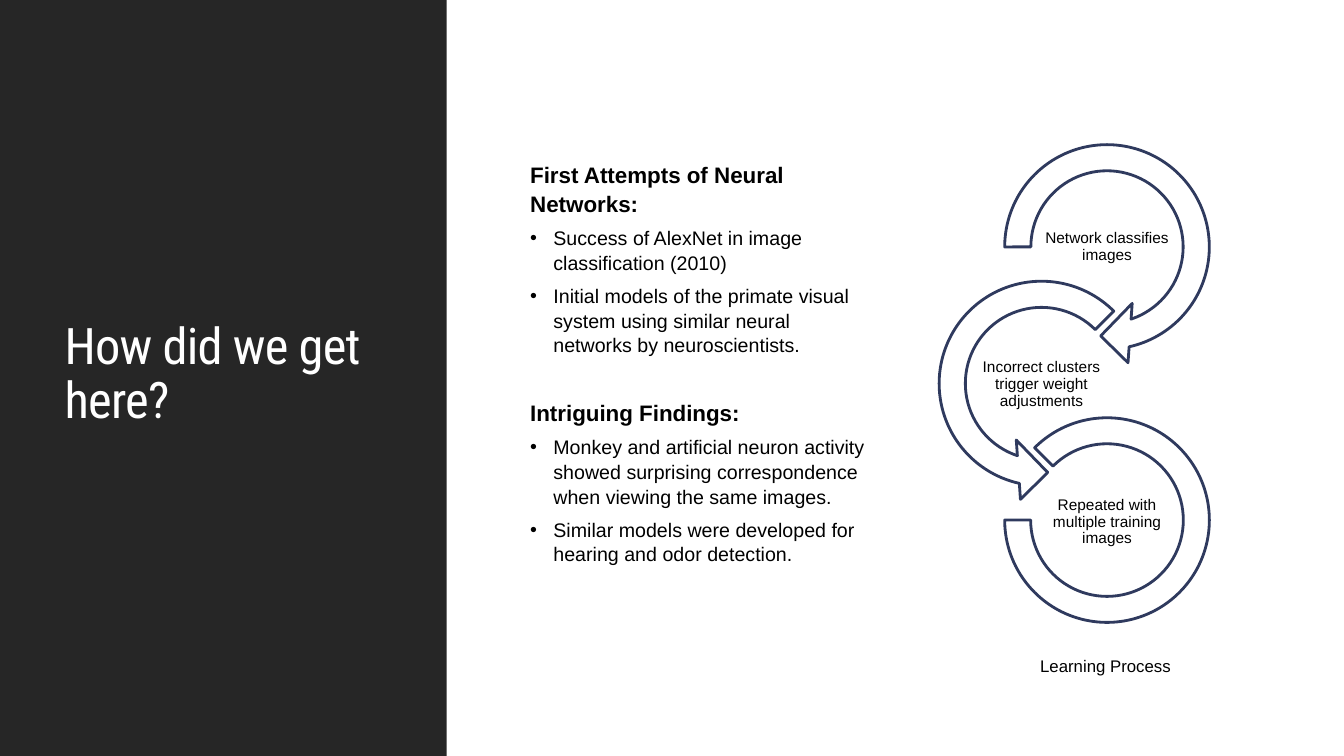
"""Build the slide on early neural networks and their learning process."""
from dataclasses import dataclass

from lxml.etree import SubElement
from pptx import Presentation
from pptx.dml.color import RGBColor
from pptx.enum.shapes import MSO_SHAPE
from pptx.enum.text import MSO_ANCHOR, MSO_AUTO_SIZE, PP_ALIGN
from pptx.oxml.ns import qn
from pptx.util import Inches, Pt

TITLE = "How did we get here?"
SECTIONS = [
    ("First Attempts of Neural Networks:", [
        "Success of AlexNet in image classification (2010)",
        "Initial models of the primate visual system using similar neural networks by neuroscientists.",
    ]),
    ("Intriguing Findings:", [
        "Monkey and artificial neuron activity showed surprising correspondence when viewing the same images.",
        "Similar models were developed for hearing and odor detection.",
    ]),
]
STEPS = [
    ("Network classifies images", MSO_SHAPE.CIRCULAR_ARROW, 10.98, 2.36,
     (0.11, 11.42, 45, 108, 0.125)),
    ("Incorrect clusters trigger weight adjustments", MSO_SHAPE.LEFT_CIRCULAR_ARROW, 10.33, 2.36,
     (0.11, 11.42, 63, 189, 0.125)),
    ("Repeated with multiple training images", MSO_SHAPE.BLOCK_ARC, 10.98, 2.03,
     (135, 108, 0.127)),
]
CAPTION = "Learning Process"
FIRST_CENTRE, RING_PITCH, LABEL_PITCH = 2.45, 1.355, 1.365
LABEL_WIDTH, LABEL_HEIGHT = 1.31, 0.66


@dataclass(frozen=True)
class Theme:
    """Colours, fonts and type sizes of the slide."""
    panel: RGBColor = RGBColor(0x26, 0x26, 0x26)
    paper: RGBColor = RGBColor(0xFF, 0xFF, 0xFF)
    ink: RGBColor = RGBColor(0, 0, 0)
    outline: RGBColor = RGBColor(0x2F, 0x3A, 0x5E)
    title_font: str = "Roboto Condensed"
    body_font: str = "Arial"
    title_size: int = 36
    heading_size: int = 16
    bullet_size: int = 14
    caption_size: int = 12
    label_size: int = 11


THEME = Theme()


def write_text(paragraph, text, size, font=THEME.body_font, color=THEME.ink, bold=False,
               align=PP_ALIGN.LEFT, line_spacing=1.0, before=0, after=0, tracking=None):
    """Write one formatted run into a paragraph."""
    run = paragraph.add_run()
    run.text = text
    run.font.size, run.font.name, run.font.bold = Pt(size), font, bold
    run.font.color.rgb = color
    if tracking is not None:
        run.font._element.set("spc", str(tracking))
    paragraph.alignment, paragraph.line_spacing = align, line_spacing
    paragraph.space_before, paragraph.space_after = Pt(before), Pt(after)


def indent(paragraph, left, hanging=0, bullet=None):
    """Set the indents of a paragraph and its optional bullet."""
    properties = paragraph._p.get_or_add_pPr()
    properties.set("marL", str(Inches(left)))
    properties.set("indent", str(-Inches(hanging)))
    if bullet:
        SubElement(properties, qn("a:buFont")).set("typeface", THEME.body_font)
        SubElement(properties, qn("a:buChar")).set("char", bullet)


def add_shape(slide, kind, left, top, width, height, fill, line=None):
    """Add a flat preset shape."""
    shape = slide.shapes.add_shape(kind, Inches(left), Inches(top), Inches(width), Inches(height))
    shape.shadow.inherit = False
    shape.fill.solid()
    shape.fill.fore_color.rgb = fill
    if line is None:
        shape.line.fill.background()
    else:
        shape.line.color.rgb = line
        shape.line.width = Pt(2)
    return shape


def add_text_box(slide, left, top, width, height):
    """Add a wrapping text box and return its text frame."""
    box = slide.shapes.add_textbox(Inches(left), Inches(top), Inches(width), Inches(height))
    box.text_frame.word_wrap = True
    return box.text_frame


def add_title(slide):
    """Place the title on a dark side panel."""
    panel = add_shape(slide, MSO_SHAPE.RECTANGLE, 0, 0, 4.43, 7.5, THEME.panel)
    title = slide.shapes.title
    title._element.addprevious(panel._element)
    title.left, title.top = Inches(0.54), Inches(0.57)
    title.width, title.height = Inches(3.37), Inches(6.31)
    frame = title.text_frame
    frame.auto_size, frame.word_wrap = MSO_AUTO_SIZE.NONE, True
    frame.vertical_anchor = MSO_ANCHOR.MIDDLE
    write_text(frame.paragraphs[0], TITLE, THEME.title_size, font=THEME.title_font,
               color=THEME.paper, line_spacing=0.9, tracking=-50)


def add_sections(slide):
    """Write the headings and their bullets."""
    frame = add_text_box(slide, 4.8, 1.54, 3.92, 5.11)
    for index, (heading, bullets) in enumerate(SECTIONS):
        paragraph = frame.add_paragraph() if index else frame.paragraphs[0]
        write_text(paragraph, heading, THEME.heading_size, bold=True, line_spacing=1.05,
                   before=23 if index else 0, after=6)
        indent(paragraph, 0.36)
        for bullet in bullets:
            paragraph = frame.add_paragraph()
            write_text(paragraph, bullet, THEME.bullet_size, line_spacing=1.05, after=6)
            indent(paragraph, 0.59, hanging=0.23, bullet="•")


def add_process(slide):
    """Draw the chain of rings with labels and a caption."""
    for index, (label, kind, centre, size, adjustments) in enumerate(STEPS):
        middle = FIRST_CENTRE + index * RING_PITCH
        ring = add_shape(slide, kind, centre - size / 2, middle - size / 2, size, size,
                         THEME.paper, THEME.outline)
        for position, value in enumerate(adjustments):
            ring.adjustments[position] = value
        label_middle = FIRST_CENTRE + index * LABEL_PITCH
        frame = add_text_box(slide, centre - LABEL_WIDTH / 2, label_middle - LABEL_HEIGHT / 2,
                             LABEL_WIDTH, LABEL_HEIGHT)
        frame.margin_left = frame.margin_right = Inches(0.01)
        frame.margin_top = frame.margin_bottom = Inches(0.01)
        frame.vertical_anchor = MSO_ANCHOR.MIDDLE
        write_text(frame.paragraphs[0], label, THEME.label_size, align=PP_ALIGN.CENTER,
                   line_spacing=0.9)
    caption = add_shape(slide, MSO_SHAPE.RECTANGLE, 10.16, 6.38, 1.61, 0.45, THEME.paper)
    caption.text_frame.vertical_anchor = MSO_ANCHOR.MIDDLE
    write_text(caption.text_frame.paragraphs[0], CAPTION, THEME.caption_size,
               align=PP_ALIGN.CENTER)


def main():
    """Build and save the presentation."""
    presentation = Presentation()
    presentation.slide_width, presentation.slide_height = Inches(13.33), Inches(7.5)
    slide = presentation.slides.add_slide(presentation.slide_layouts[5])
    add_title(slide)
    add_sections(slide)
    add_process(slide)
    presentation.save("out.pptx")


if __name__ == "__main__":
    main()
